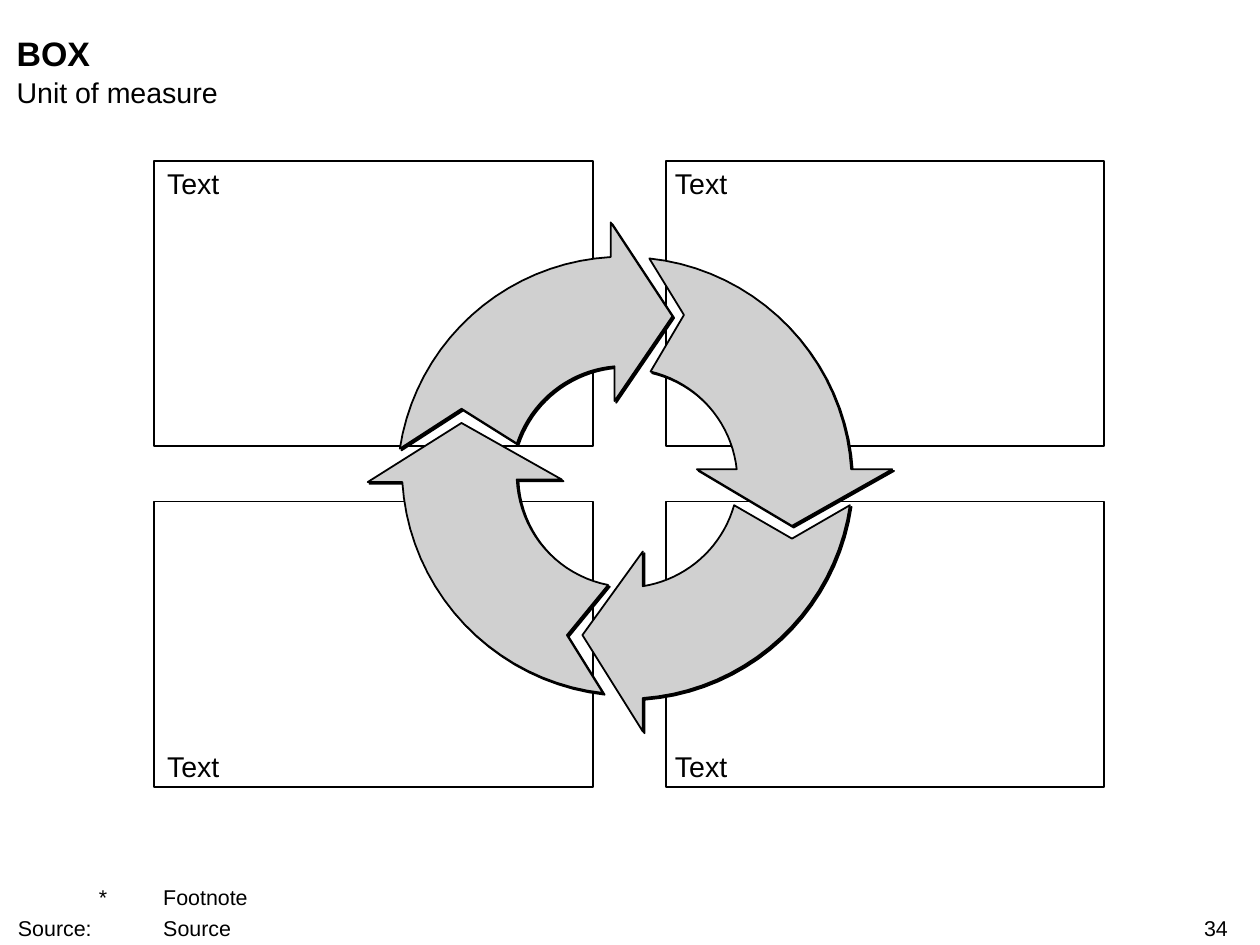
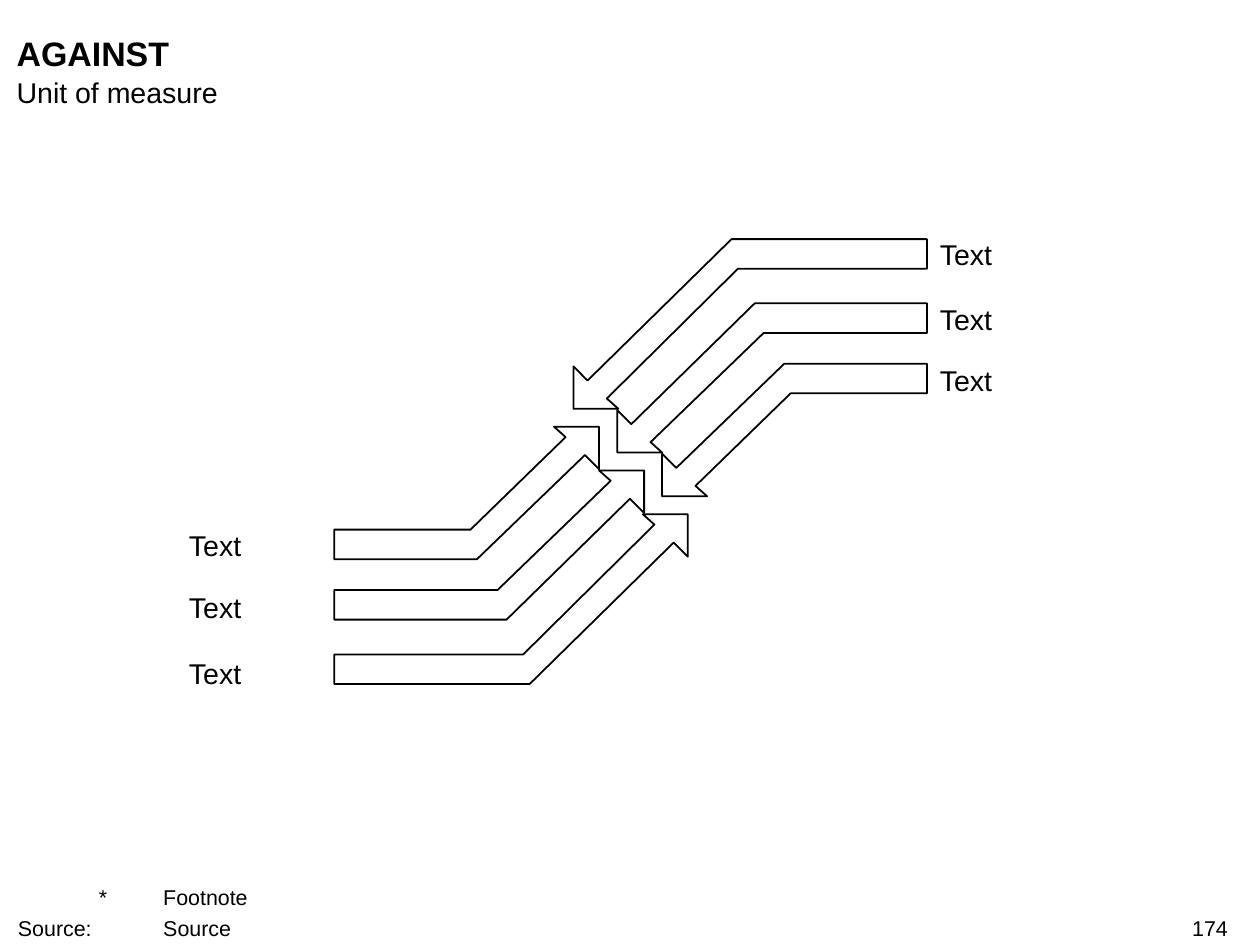
import math

from lxml import etree
from pptx import Presentation
from pptx.dml.color import RGBColor
from pptx.enum.shapes import MSO_SHAPE
from pptx.enum.text import MSO_ANCHOR, PP_ALIGN
from pptx.oxml.ns import qn
from pptx.util import Inches, Pt

BLACK = RGBColor(0x00, 0x00, 0x00)
WHITE = RGBColor(0xFF, 0xFF, 0xFF)
GREY = RGBColor(0xD0, 0xD0, 0xD0)
FONT = "Arial"
RECTANGLE = MSO_SHAPE.RECTANGLE
LEFT, RIGHT = PP_ALIGN.LEFT, PP_ALIGN.RIGHT
TOP, BOTTOM = MSO_ANCHOR.TOP, MSO_ANCHOR.BOTTOM

OUTER_RADIUS = 1.76
INNER_RADIUS = 0.88
ARC_STEPS = 20
FOOTER_INDENT = 0.63
FOOTER_TABS = [(0, "l"), (0.58, "r")] + [(0.98 * step, "l") for step in range(1, 7)]

CYCLE_ARROWS = [
    dict(outer=[(3.11, 3.49), (4.75, 2)], head=[(4.75, 1.73), (5.23, 2.46), (4.78, 3.12)],
         inner=[(4.02, 3.45), (4.78, 2.85)], notch=(3.59, 3.18)),
    dict(outer=[(6.61, 3.93), (5, 5.43)], head=[(5, 5.69), (4.53, 4.94), (5, 4.29)],
         inner=[(5.71, 3.93), (5, 4.56)], notch=(6.16, 4.19)),
    dict(outer=[(4.69, 5.39), (3.13, 3.75)], head=[(2.86, 3.75), (3.59, 3.29), (4.37, 3.73)],
         inner=[(4.73, 4.55), (4.02, 3.73)], notch=(4.41, 4.94)),
    dict(outer=[(5.05, 2.01), (6.62, 3.65)], head=[(6.94, 3.65), (6.16, 4.09), (5.42, 3.65)],
         inner=[(5.06, 2.89), (5.73, 3.65)], notch=(5.32, 2.45)),
]

BENT_ARROWS = [
    dict(tail=4.12, upper_elbow=3.66, lower_elbow=3.71, tip=(4.66, 3.32)),
    dict(tail=4.59, upper_elbow=3.87, lower_elbow=3.94, tip=(5.01, 3.66)),
    dict(tail=5.09, upper_elbow=4.07, lower_elbow=4.12, tip=(5.35, 4)),
]


def set_footer_tabs(para):
    properties = para._p.get_or_add_pPr()
    properties.set("marL", str(Inches(FOOTER_INDENT)))
    properties.set("indent", str(-Inches(FOOTER_INDENT)))
    tab_list = etree.SubElement(properties, qn("a:tabLst"))
    for position, side in FOOTER_TABS:
        etree.SubElement(tab_list, qn("a:tab"), pos=str(Inches(position)), algn=side)


def add_text(page, text, left, top, width, height, size=16, bold=False,
             align=LEFT, anchor=TOP, footer=False):
    box = page.shapes.add_textbox(Inches(left), Inches(top), Inches(width), Inches(height))
    frame = box.text_frame
    frame.word_wrap = True
    frame.margin_left = frame.margin_right = frame.margin_top = frame.margin_bottom = 0
    frame.vertical_anchor = anchor
    for index, line in enumerate(text.split("\n")):
        para = frame.add_paragraph() if index else frame.paragraphs[0]
        if footer:
            set_footer_tabs(para)
        if index:
            para.space_before = Pt(3)
        para.alignment = align
        span = para.add_run()
        span.text = line
        span.font.name = FONT
        span.font.size = Pt(size)
        span.font.bold = bold
        span.font.color.rgb = BLACK


def style_shape(shape, fill):
    shape.shadow.inherit = False
    shape.fill.solid()
    shape.fill.fore_color.rgb = fill
    shape.line.color.rgb = BLACK
    shape.line.width = Pt(1)


def add_hard_shadow(shape):
    effects = shape._element.spPr.find(qn("a:effectLst"))
    shadow = etree.SubElement(effects, qn("a:outerShdw"), blurRad="0",
                              dist=str(Pt(1.4)), dir=str(45 * 60000),
                              algn="ctr", rotWithShape="0")
    etree.SubElement(shadow, qn("a:srgbClr"), val=str(BLACK))


def add_polygon(page, points, fill):
    corners = [(Inches(x), Inches(y)) for x, y in points]
    builder = page.shapes.build_freeform(*corners[0])
    builder.add_line_segments(corners[1:], close=True)
    shape = builder.convert_to_shape()
    style_shape(shape, fill)
    return shape


def clockwise_arc(start, end, radius):
    half = math.dist(start, end) / 2
    rise = math.sqrt(radius ** 2 - half ** 2) / (2 * half)
    center_x = (start[0] + end[0]) / 2 - (end[1] - start[1]) * rise
    center_y = (start[1] + end[1]) / 2 + (end[0] - start[0]) * rise
    first = math.atan2(start[1] - center_y, start[0] - center_x)
    sweep = 2 * math.asin(half / radius)
    angles = [first + sweep * step / ARC_STEPS for step in range(ARC_STEPS + 1)]
    return [(center_x + radius * math.cos(angle), center_y + radius * math.sin(angle))
            for angle in angles]


def add_cycle_arrow(page, outer, head, inner, notch):
    outside = clockwise_arc(*outer, OUTER_RADIUS)
    inside = clockwise_arc(*inner, INNER_RADIUS)
    arrow = add_polygon(page, outside + head + inside[::-1] + [notch], GREY)
    add_hard_shadow(arrow)


def bent_arrow_points(tail, upper_elbow, lower_elbow, tip):
    x, y = tip
    start, thickness = 2.6, 0.23
    return [(start, tail), (upper_elbow, tail), (x - 0.26, y + 0.08), (x - 0.35, y),
            tip, (x, y + 0.33), (x - 0.11, y + 0.22),
            (lower_elbow, tail + thickness), (start, tail + thickness)]


def half_turn(points):
    return [(9.81 - x, 7.18 - y) for x, y in points]


def add_page(deck, title, number):
    page = deck.slides.add_slide(deck.slide_layouts[6])
    add_text(page, title, 0.13, 0.25, 9.43, 0.32, size=19, bold=True)
    add_text(page, "Unit of measure", 0.13, 0.58, 9.43, 0.27)
    add_text(page, "\t*\tFootnote\nSource:\t\tSource", 0.14, 6.88, 8.93, 0.44,
             size=12, anchor=BOTTOM, footer=True)
    add_text(page, number, 7.51, 7.12, 2.04, 0.2, size=12, align=RIGHT)
    return page


def build_box_page(deck):
    page = add_page(deck, "BOX", "34")
    for top in (1.25, 3.9):
        for left in (1.2, 5.18):
            panel = page.shapes.add_shape(RECTANGLE, Inches(left), Inches(top),
                                          Inches(3.41), Inches(2.22))
            style_shape(panel, WHITE)
    for top, anchor in ((1.29, TOP), (5.82, BOTTOM)):
        for left in (1.3, 5.25):
            add_text(page, "Text", left, top, 3.27, 0.27, anchor=anchor)
    for arrow in CYCLE_ARROWS:
        add_cycle_arrow(page, **arrow)


def build_against_page(deck):
    page = add_page(deck, "AGAINST", "174")
    outlines = [bent_arrow_points(**arrow) for arrow in BENT_ARROWS]
    for points in outlines + [half_turn(outline) for outline in outlines]:
        add_polygon(page, points, WHITE)
    for left, width, tops in ((7.31, 1.11, (1.84, 2.35, 2.82)),
                              (1.47, 1, (4.11, 4.59, 5.1))):
        for top in tops:
            add_text(page, "Text", left, top, width, 0.27)


def main():
    deck = Presentation()
    deck.slide_width = Inches(9.8)
    deck.slide_height = Inches(7.35)
    build_box_page(deck)
    build_against_page(deck)
    deck.save("out.pptx")


if __name__ == "__main__":
    main()
